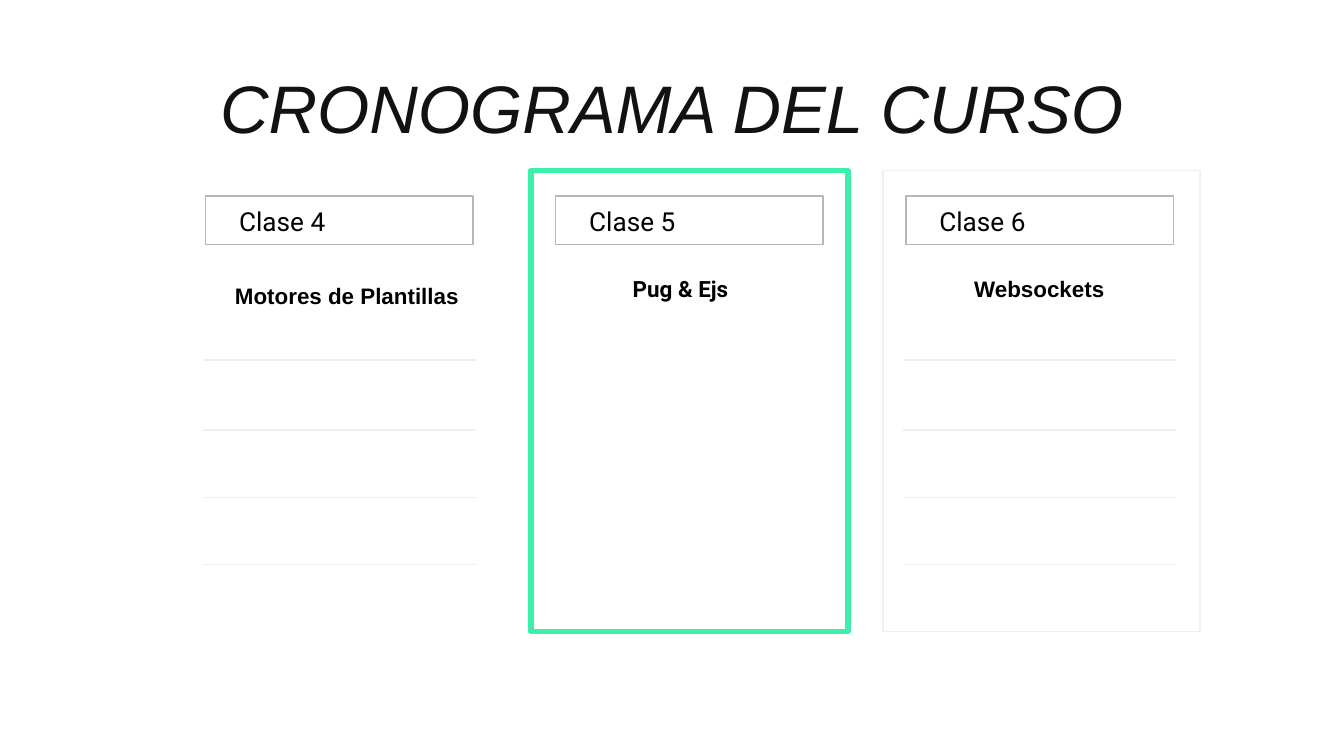
from lxml.etree import SubElement
from pptx import Presentation
from pptx.dml.color import RGBColor
from pptx.enum.shapes import MSO_CONNECTOR as Connector, MSO_SHAPE as Shape
from pptx.enum.text import MSO_ANCHOR as Anchor, PP_ALIGN as Align
from pptx.oxml.ns import qn
from pptx.util import Inches, Pt

BLACK = RGBColor(0x00, 0x00, 0x00)
INK = RGBColor(0x12, 0x12, 0x12)
GREEN = RGBColor(0x3C, 0xEF, 0xAB)
GRAY = RGBColor(0xB7, 0xB7, 0xB7)
PALE = RGBColor(0xEF, 0xEF, 0xEF)

TITLE = "CRONOGRAMA DEL CURSO"
# topic_at: left, top and width of the topic text
# frame: left edge, colour and line width
CLASSES = [
    dict(name="Clase 4", topic="Motores de Plantillas", font="Arial",
         topic_at=(1.65, 1.97, 2.03), frame=None, ruled=True),
    dict(name="Clase 5", topic="Pug & Ejs", font="Roboto",
         topic_at=(4.61, 1.92, 1.03), frame=(3.95, GREEN, 3), ruled=False),
    dict(name="Clase 6", topic="Websockets", font="Arial",
         topic_at=(7.15, 1.92, 1.21), frame=(6.57, PALE, 0.75), ruled=True),
]
FIRST_LEFT, LAST_LEFT = 1.53, 6.74
COLUMN_STEP = (LAST_LEFT - FIRST_LEFT) / (len(CLASSES) - 1)
RULE_TOPS = [2.68, 3.2, 3.7, 4.2]


def add_text(page, text, left, top, width, height, *, size, font, color=BLACK,
             bold=False, italic=False, align=Align.LEFT, anchor=Anchor.TOP,
             spacing=None):
    box = page.shapes.add_textbox(*map(Inches, (left, top, width, height)))
    frame = box.text_frame
    frame.word_wrap = True
    frame.vertical_anchor = anchor
    frame.margin_left = frame.margin_right = Inches(0.1)
    frame.margin_top = frame.margin_bottom = Inches(0.1)
    para = frame.paragraphs[0]
    para.alignment = align
    para.line_spacing = spacing
    span = para.add_run()
    span.text = text
    span.font.size = Pt(size)
    span.font.name = font
    span.font.bold = bold
    span.font.italic = italic
    span.font.color.rgb = color


def add_outline(page, left, top, width, height, color, weight):
    box = page.shapes.add_shape(
        Shape.RECTANGLE, *map(Inches, (left, top, width, height)))
    box.shadow.inherit = False
    box.fill.background()
    box.line.color.rgb = color
    box.line.width = Pt(weight)


def add_rule(page, left, top, width):
    rule = page.shapes.add_connector(
        Connector.STRAIGHT, *map(Inches, (left, top, left + width, top)))
    rule.line.color.rgb = PALE
    rule.line.width = Pt(0.75)
    SubElement(rule._element.spPr, qn("a:effectLst"))


def add_class(page, left, item):
    if item["frame"]:
        frame_left, color, weight = item["frame"]
        add_outline(page, frame_left, 1.27, 2.36, 3.43, color, weight)
    add_outline(page, left, 1.46, 1.99, 0.36, GRAY, 0.75)
    add_text(page, item["name"], left + 0.15, 1.43, 1.35, 0.4,
             size=14, font="Roboto")
    add_text(page, item["topic"], *item["topic_at"], 0.46,
             size=12, font=item["font"], bold=True, spacing=1.15)
    if item["ruled"]:
        for top in RULE_TOPS:
            add_rule(page, left - 0.02, top, 2.03)


def main():
    deck = Presentation()
    deck.slide_width = Inches(10)
    deck.slide_height = deck.slide_width * 9 // 16
    page = deck.slides.add_slide(deck.slide_layouts[6])
    for index, item in enumerate(CLASSES):
        add_class(page, FIRST_LEFT + index * COLUMN_STEP, item)
    add_text(page, TITLE, 1.53, 0.25, 6.94, 1.08, size=36, font="Arial",
             color=INK, italic=True, align=Align.CENTER, anchor=Anchor.MIDDLE)
    deck.save("out.pptx")


if __name__ == "__main__":
    main()
